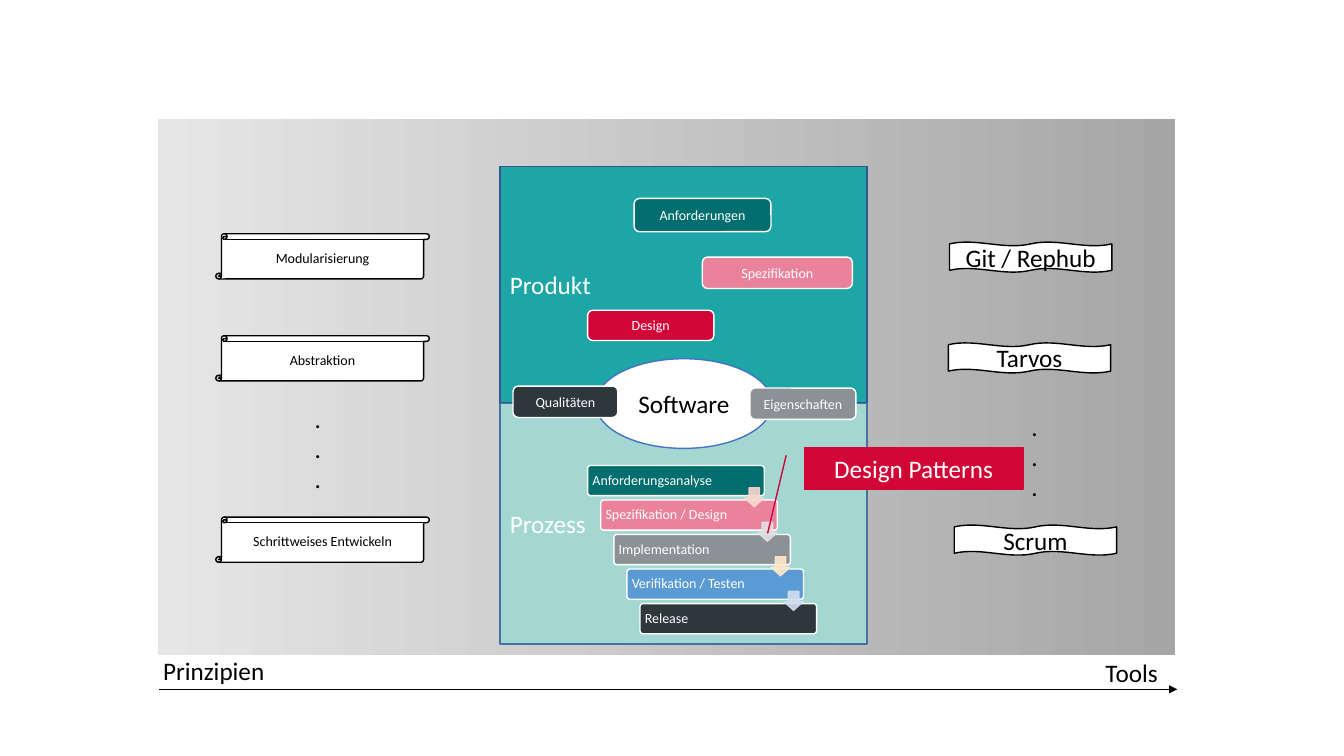
"""Build the software engineering overview slide, from principles to tools."""
from lxml import etree
from pptx import Presentation
from pptx.dml.color import RGBColor
from pptx.enum.shapes import MSO_CONNECTOR, MSO_SHAPE
from pptx.enum.text import MSO_ANCHOR, PP_ALIGN
from pptx.oxml.ns import qn
from pptx.util import Cm, Pt

RECTANGLE, ROUNDED, OVAL = MSO_SHAPE.RECTANGLE, MSO_SHAPE.ROUNDED_RECTANGLE, MSO_SHAPE.OVAL
SCROLL, WAVE = MSO_SHAPE.VERTICAL_SCROLL, MSO_SHAPE.DOUBLE_WAVE
DOWN_ARROW, CALLOUT = MSO_SHAPE.DOWN_ARROW, MSO_SHAPE.LINE_CALLOUT_1
STRAIGHT = MSO_CONNECTOR.STRAIGHT
LEFT, CENTER = PP_ALIGN.LEFT, PP_ALIGN.CENTER
TOP, MIDDLE = MSO_ANCHOR.TOP, MSO_ANCHOR.MIDDLE

THEME = {
    "font": "Calibri", "large": 18, "small": 10,
    "black": "000000", "white": "FFFFFF", "teal": "1EA5A5", "mint": "A5D7D2",
    "petrol": "006E6E", "pink": "EB829B", "red": "D20537", "grey": "8C9196",
    "slate": "2D373C", "blue": "5B9BD5", "oval_line": "4472C4",
    "product_line": "325491", "process_line": "43739E",
    "peach": "F8D7CE", "silver": "E1E1E1", "cream": "FFE8CC", "ice": "D2DEEF",
    "gradient": ("A6A6A6", "E7E6E6"),
}

BACKDROP = (3.99, 3, 25.63, 13.51)
PROCESS = ("Prozess", (12.6, 10.16, 9.25, 6.07))
PRODUCT = ("Produkt", (12.6, 4.19, 9.25, 5.95))
SOFTWARE = ("Software", (15.01, 9.04, 4.45, 2.26))
PATTERNS = ("Design Patterns", (20.27, 11.28, 5.51, 1.04), (0.188, -0.083, 2.083, -0.168))
STEPS = [
    ("Anforderungsanalyse", "petrol", "peach"),
    ("Spezifikation / Design", "pink", "silver"),
    ("Implementation", "grey", "cream"),
    ("Verifikation / Testen", "blue", "ice"),
    ("Release", "slate", None),
]
STEP_START, STEP_SHIFT, STEP_SIZE = (14.81, 11.73), (0.33, 0.87), (4.45, 0.76)
ARROW_OFFSET, ARROW_SIZE = (3.96, 0.56), 0.48
ARTEFACTS = [
    ("Anforderungen", "petrol", (15.98, 5, 3.45, 0.84)),
    ("Design", "red", (14.81, 7.82, 3.18, 0.76)),
    ("Spezifikation", "pink", (17.7, 6.48, 3.78, 0.79)),
    ("Qualitäten", "slate", (12.93, 9.73, 2.64, 0.79)),
    ("Eigenschaften", "grey", (18.9, 9.78, 2.67, 0.79)),
]
PRINCIPLES = [("Modularisierung", 5.89), ("Abstraktion", 8.46), ("Schrittweises Entwickeln", 13.03)]
SCROLL_LEFT, SCROLL_SIZE = 5.44, (5.38, 1.14)
TOOLS = [("Git / Rephub", 23.93, 6.1), ("Tarvos", 23.9, 8.64), ("Scrum", 24.05, 13.23)]
WAVE_SIZE = (4.09, 0.76)
LABELS = [
    ("Prinzipien", (3.86, 16.38, 4.29, 1.02)),
    ("Tools", (27.61, 16.43, 4.29, 1.02)),
    ("...", (7.7, 10.03, 0.48, 2.57)),
    ("...", (25.76, 10.24, 0.48, 2.57)),
]
AXIS = (4.01, 17.37, 29.67, 17.37)


def color(name):
    return RGBColor.from_string(THEME[name])


def set_all(target, values):
    for name, value in values.items():
        setattr(target, name, value)


def write(shape, text, size="large", text_color="white", align=CENTER, anchor=MIDDLE, **frame_format):
    set_all(shape.text_frame, {"word_wrap": True, "vertical_anchor": anchor, **frame_format})
    paragraph = shape.text_frame.paragraphs[0]
    paragraph.alignment = align
    run = paragraph.add_run()
    run.text = text
    set_all(run.font, {"name": THEME["font"], "size": Pt(THEME[size])})
    run.font.color.rgb = color(text_color)
    return paragraph


def add_shape(slide, kind, box, fill, line, adjustments=()):
    shape = slide.shapes.add_shape(kind, *map(Cm, box))
    shape.shadow.inherit = False
    shape.fill.solid()
    shape.fill.fore_color.rgb = color(fill)
    shape.line.color.rgb = color(line)
    shape.line.width = Pt(1)
    for index, value in enumerate(adjustments):
        shape.adjustments[index] = value
    return shape


def add_backdrop(slide):
    backdrop = slide.shapes.add_shape(RECTANGLE, *map(Cm, BACKDROP))
    backdrop.shadow.inherit = False
    backdrop.line.fill.background()
    backdrop.fill.gradient()
    backdrop.fill.gradient_angle = 180
    for position, (stop, value) in enumerate(zip(backdrop.fill.gradient_stops, THEME["gradient"])):
        stop.position = position
        stop.color.rgb = RGBColor.from_string(value)


def add_steps(slide):
    corners = [tuple(start + index * shift for start, shift in zip(STEP_START, STEP_SHIFT))
               for index in range(len(STEPS))]
    inset = Cm(0.1)
    for (text, fill, _), corner in zip(STEPS, corners):
        step = add_shape(slide, ROUNDED, corner + STEP_SIZE, fill, "white", (0.1,))
        paragraph = write(step, text, "small", align=LEFT, margin_left=inset,
                          margin_right=inset, margin_top=inset, margin_bottom=inset)
        paragraph.line_spacing = 0.9
    for (_, _, fill), (left, top) in zip(STEPS[:-1], corners):
        box = (left + ARROW_OFFSET[0], top + ARROW_OFFSET[1], ARROW_SIZE, ARROW_SIZE)
        arrow = add_shape(slide, DOWN_ARROW, box, fill, fill, (0.55, 0.45))
        for element in arrow.element.spPr.iter(qn("a:srgbClr")):
            etree.SubElement(element, qn("a:alpha"), val="90000")


def add_axis(slide):
    axis = slide.shapes.add_connector(STRAIGHT, *map(Cm, AXIS))
    axis.line.color.rgb = color("black")
    axis.line.width = Pt(0.5)
    etree.SubElement(axis.line._get_or_add_ln(), qn("a:tailEnd"), type="triangle")
    etree.SubElement(axis.element.spPr, qn("a:effectLst"))


def main():
    presentation = Presentation()
    set_all(presentation, {"slide_width": Cm(33.87), "slide_height": Cm(19.05)})
    slide = presentation.slides.add_slide(presentation.slide_layouts[6])
    add_backdrop(slide)

    text, box = PROCESS
    write(add_shape(slide, RECTANGLE, box, "mint", "process_line"), text, align=LEFT)
    add_steps(slide)
    text, box = PRODUCT
    write(add_shape(slide, RECTANGLE, box, "teal", "product_line"), text, align=LEFT)
    text, box = SOFTWARE
    write(add_shape(slide, OVAL, box, "white", "oval_line"), text, text_color="black")

    for text, fill, box in ARTEFACTS:
        write(add_shape(slide, ROUNDED, box, fill, "white"), text, "small")
    for text, top in PRINCIPLES:
        scroll = add_shape(slide, SCROLL, (SCROLL_LEFT, top) + SCROLL_SIZE, "white", "black")
        write(scroll, text, "small", "black")
    for text, left, top in TOOLS:
        wave = add_shape(slide, WAVE, (left, top) + WAVE_SIZE, "white", "black")
        write(wave, text, text_color="black")
    for text, box in LABELS:
        write(slide.shapes.add_textbox(*map(Cm, box)), text, text_color="black", align=LEFT, anchor=TOP)
    add_axis(slide)

    text, box, pointer = PATTERNS
    write(add_shape(slide, CALLOUT, box, "red", "red", pointer), text)
    presentation.save("out.pptx")


if __name__ == "__main__":
    main()
